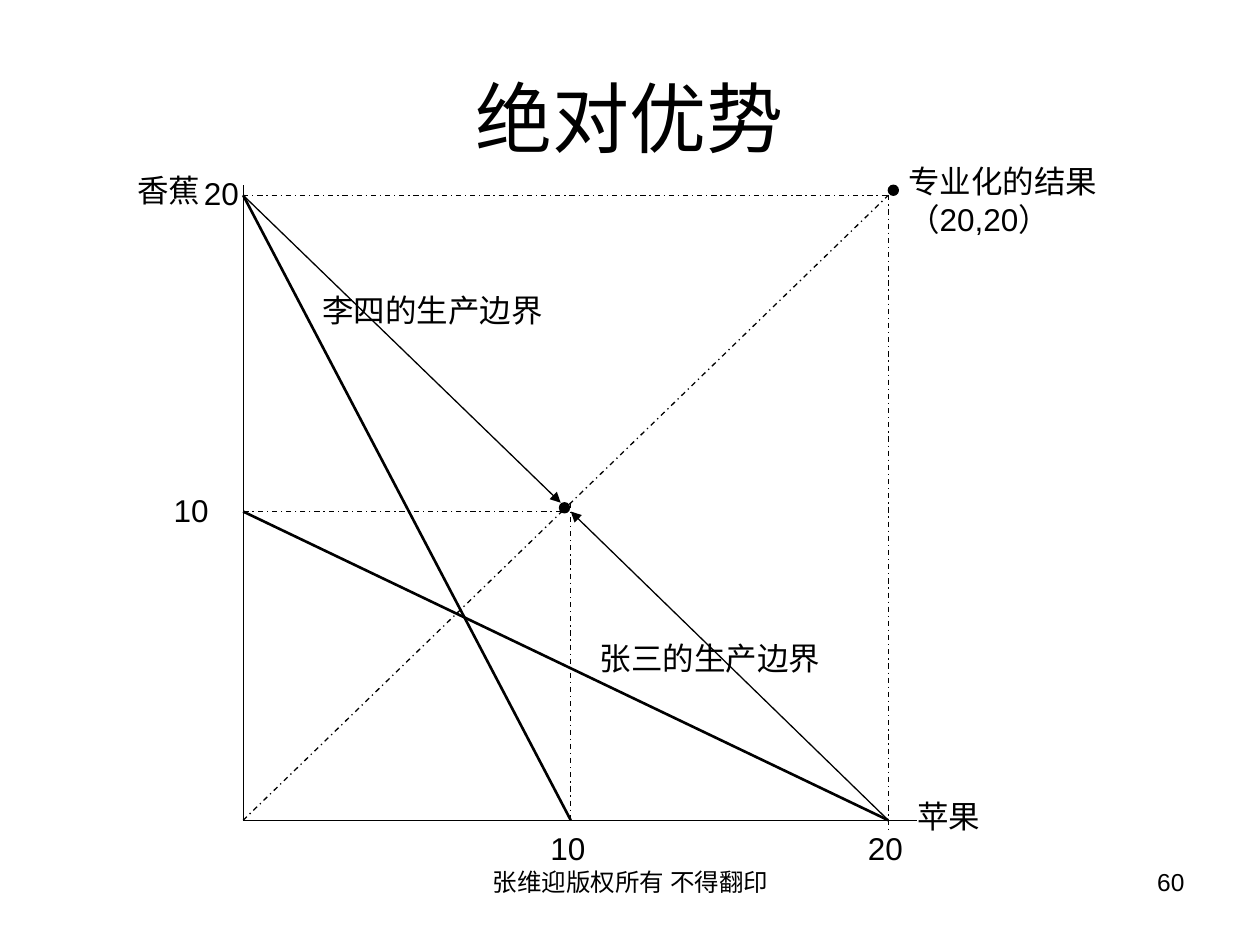
"""Build the absolute advantage slide with two production frontiers."""
from dataclasses import dataclass

from lxml import etree
from pptx import Presentation
from pptx import util as u
from pptx.dml.color import RGBColor
from pptx.enum import dml, shapes, text
from pptx.oxml import ns

BLACK = "000000"
FONT = "Arial"
LEFT, MIDDLE, RIGHT = 1.93, 4.53, 7.05
TOP, CENTRE, BOTTOM = 1.55, 4.06, 6.51
DOT_SIZE = 0.08
DASHED = dml.MSO_LINE.DASH_DOT


@dataclass
class Label:
    """A text box with its place and type style."""
    lines: list[str]
    left: float
    top: float
    width: float
    height: float = 0.4
    size: int = 18
    align: text.PP_ALIGN = text.PP_ALIGN.LEFT
    anchor: text.MSO_ANCHOR = text.MSO_ANCHOR.TOP
    wrap: bool = False


@dataclass
class Segment:
    """A straight line between two points."""
    start: tuple[float, float]
    end: tuple[float, float]
    weight: float = 0.75
    dash: dml.MSO_LINE | None = None
    arrow: bool = False


@dataclass
class Dot:
    """A filled marker placed by its top left corner."""
    left: float
    top: float


SEGMENTS = [
    Segment((LEFT, 1.47), (LEFT, BOTTOM)),
    Segment((LEFT, BOTTOM), (7.28, BOTTOM)),
    Segment((LEFT, CENTRE), (RIGHT, BOTTOM), weight=1.5),
    Segment((MIDDLE, BOTTOM), (LEFT, TOP), weight=1.5),
    Segment((LEFT, TOP), (RIGHT, TOP), dash=DASHED),
    Segment((RIGHT, TOP), (RIGHT, 6.59), dash=DASHED),
    Segment((LEFT, BOTTOM), (RIGHT, TOP), dash=DASHED),
    Segment((MIDDLE, 3.99), (MIDDLE, BOTTOM), dash=DASHED),
    Segment((4.45, CENTRE), (LEFT, CENTRE), dash=DASHED),
    Segment((LEFT, TOP), (4.45, 3.99), arrow=True),
    Segment((RIGHT, BOTTOM), (MIDDLE, CENTRE), arrow=True),
]
DOTS = [Dot(RIGHT, 1.47), Dot(4.44, 3.99)]
LABELS = [
    Label(["绝对优势"], 0.5, 0.3, 9, 1.25, 44, text.PP_ALIGN.CENTER,
          text.MSO_ANCHOR.MIDDLE, True),
    Label(["苹果"], 7.18, 6.28, 0.7),
    Label(["香蕉"], 0.99, 1.31, 0.7),
    Label(["张三的生产边界"], 4.66, 5.02, 1.95),
    Label(["李四的生产边界"], 2.46, 2.26, 1.95),
    Label(["专业化的结果", "（20,20）"], 7.11, 1.24, 1.7, 0.7),
    Label(["20"], 6.79, 6.53, 0.48),
    Label(["10"], 4.27, 6.53, 0.48),
    Label(["10"], 1.28, 3.85, 0.48),
    Label(["20"], 1.52, 1.33, 0.48),
    Label(["张维迎版权所有 不得翻印"], 3.42, 6.83, 3.17, 0.52, 14,
          text.PP_ALIGN.CENTER, wrap=True),
    Label(["60"], 7.17, 6.83, 2.33, 0.52, 14, text.PP_ALIGN.RIGHT, wrap=True),
]


def colour(value: str) -> RGBColor:
    """Turn a hex string into a colour."""
    return RGBColor.from_string(value)


def apply(target: object, values: dict) -> None:
    """Set every named attribute on the target."""
    for name, value in values.items():
        setattr(target, name, value)


def draw_segment(page, segment: Segment) -> None:
    """Draw a line, dashed or with an arrowhead when asked."""
    points = [u.Inches(value) for value in (*segment.start, *segment.end)]
    connector = page.shapes.add_connector(shapes.MSO_CONNECTOR.STRAIGHT, *points)
    line = connector.line
    line.color.rgb = colour(BLACK)
    apply(line, {"width": u.Pt(segment.weight), "dash_style": segment.dash})
    if segment.arrow:
        etree.SubElement(line._get_or_add_ln(), ns.qn("a:tailEnd"), type="triangle")
    etree.SubElement(connector._element.spPr, ns.qn("a:effectLst"))


def draw_dot(page, dot: Dot) -> None:
    """Draw a round black marker."""
    marker = page.shapes.add_shape(
        shapes.MSO_SHAPE.OVAL, u.Inches(dot.left), u.Inches(dot.top),
        u.Inches(DOT_SIZE), u.Inches(DOT_SIZE))
    marker.shadow.inherit = False
    marker.fill.solid()
    marker.fill.fore_color.rgb = colour(BLACK)
    marker.line.color.rgb = colour(BLACK)
    marker.line.width = u.Pt(0.75)


def draw_label(page, label: Label) -> None:
    """Draw a text box with one paragraph for each line."""
    box = page.shapes.add_textbox(
        u.Inches(label.left), u.Inches(label.top),
        u.Inches(label.width), u.Inches(label.height))
    frame = box.text_frame
    fit = text.MSO_AUTO_SIZE.NONE if label.wrap else text.MSO_AUTO_SIZE.SHAPE_TO_FIT_TEXT
    apply(frame, {"word_wrap": label.wrap, "auto_size": fit,
                  "vertical_anchor": label.anchor})
    frame.text = "\n".join(label.lines)
    for para in frame.paragraphs:
        para.alignment = label.align
        for span in para.runs:
            apply(span.font, {"name": FONT, "size": u.Pt(label.size)})
            span.font.color.rgb = colour(BLACK)


def main() -> None:
    """Build and save the deck."""
    deck = Presentation()
    apply(deck, {"slide_width": u.Inches(10), "slide_height": u.Inches(7.5)})
    page = deck.slides.add_slide(deck.slide_layouts[6])
    for segment in SEGMENTS:
        draw_segment(page, segment)
    for dot in DOTS:
        draw_dot(page, dot)
    for label in LABELS:
        draw_label(page, label)
    deck.save("out.pptx")


if __name__ == "__main__":
    main()
